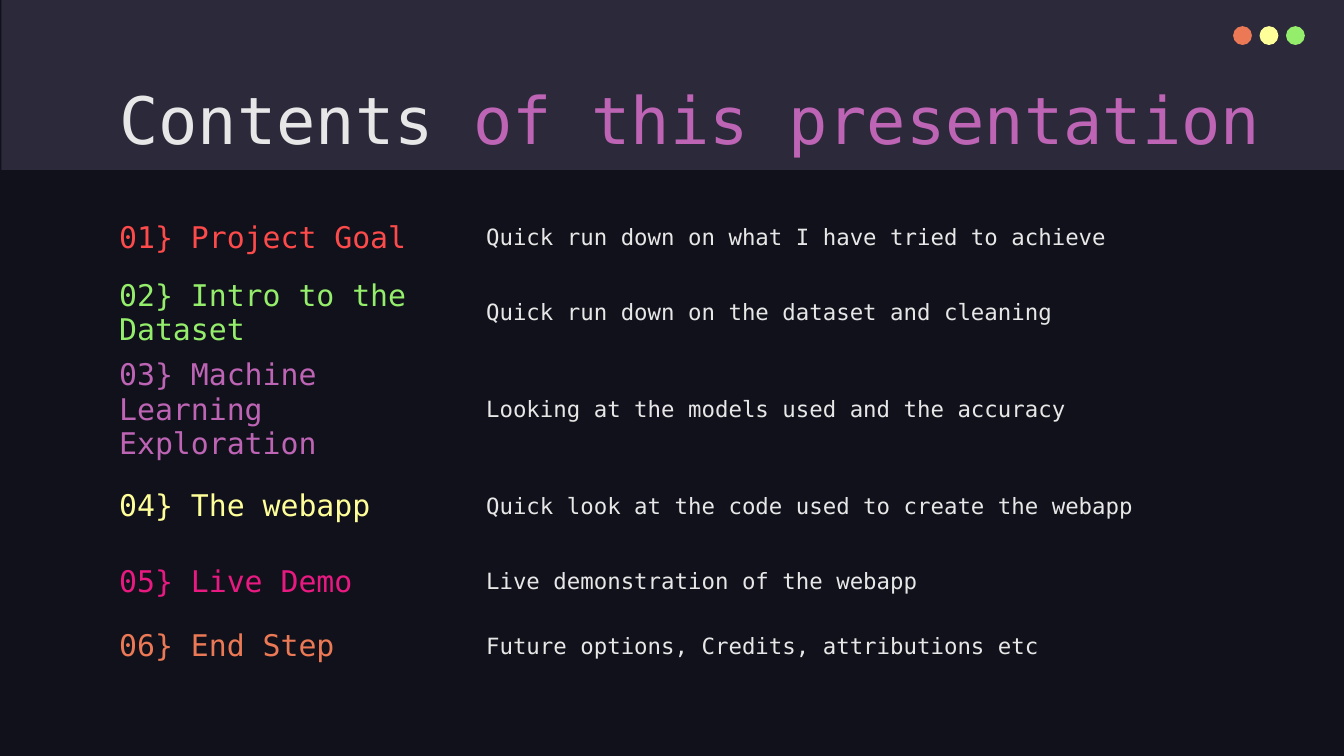
"""Builds the contents slide: a header band, three window dots, a title and a table of sections."""
from dataclasses import dataclass
from typing import NamedTuple

from pptx import Presentation
from pptx import util as u
from pptx.dml.color import RGBColor
from pptx.enum import shapes, text

COLS, ROWS = 100, 56.25
CELL = u.Inches(0.1)
NO_STYLE = "{2D5ABB26-0587-4C30-8999-92F81FD0307C}"


@dataclass(frozen=True)
class Theme:
    font: str = "DejaVu Sans Mono"
    back: str = "10111A"
    band: str = "2C293A"
    light: str = "E7E7E7"
    red: str = "FD4A4A"
    green: str = "94EE6B"
    purple: str = "BD64B5"
    yellow: str = "FFFF99"
    pink: str = "E81A81"
    orange: str = "EC7955"
    title: int = 35
    heading: int = 16
    body: int = 12


class Box(NamedTuple):
    left: float
    top: float
    width: float
    height: float


class Section(NamedTuple):
    heading: str
    detail: str
    color: str
    height: float


T = Theme()
BAND = Box(0.1, 0, COLS, 12.65)
TITLE = Box(7.87, 4.9, 88.2, 6.3)
TABLE = Box(7.87, 15.3, 84.3, 35.1)
TABLE_COLS = (27.3, 57)
DOT = Box(91.75, 1.95, 1.4, 1.4)
DOT_STEP = 1.97
DOT_COLORS = (T.orange, T.yellow, T.green)
SECTIONS = (
    Section("Project Goal", "Quick run down on what I have tried to achieve", T.red, 4.8),
    Section("Intro to the Dataset", "Quick run down on the dataset and cleaning", T.green, 6.4),
    Section("Machine Learning Exploration", "Looking at the models used and the accuracy", T.purple, 6.4),
    Section("The webapp", "Quick look at the code used to create the webapp", T.yellow, 6.4),
    Section("Live Demo", "Live demonstration of the webapp", T.pink, 4.8),
    Section("End Step", "Future options, Credits, attributions etc", T.orange, 4.8),
)


def grid(*units: float) -> list[int]:
    return [round(n * CELL) for n in units]


def apply(target, values: dict) -> None:
    for name, value in values.items():
        setattr(target, name, value)


def add_run(p, words: str, size: int, color: str) -> None:
    r = p.add_run()
    r.text = words
    apply(r.font, {"name": T.font, "size": u.Pt(size)})
    r.font.color.rgb = RGBColor.from_string(color)


def add_plain(s, kind: shapes.MSO_SHAPE, box: Box, color: str) -> None:
    sp = s.shapes.add_shape(kind, *grid(*box))
    sp.shadow.inherit = False
    sp.fill.solid()
    sp.fill.fore_color.rgb = RGBColor.from_string(color)
    sp.line.fill.background()


def add_title(s, box: Box) -> None:
    tf = s.shapes.add_textbox(*grid(*box)).text_frame
    apply(tf, {"word_wrap": True, "margin_left": CELL, "margin_right": CELL,
               "margin_top": CELL, "margin_bottom": CELL,
               "vertical_anchor": text.MSO_ANCHOR.TOP})
    add_run(tf.paragraphs[0], "Contents ", T.title, T.light)
    add_run(tf.paragraphs[0], "of this presentation", T.title, T.purple)


def fill_cell(cell, words: str, size: int, color: str) -> None:
    cell.fill.background()
    apply(cell, {"margin_left": CELL, "margin_right": CELL, "margin_top": 0,
                 "margin_bottom": 0, "vertical_anchor": text.MSO_ANCHOR.MIDDLE})
    add_run(cell.text_frame.paragraphs[0], words, size, color)


def add_contents(s, box: Box) -> None:
    frame = s.shapes.add_table(len(SECTIONS), len(TABLE_COLS), *grid(*box))
    table = frame.table
    apply(table, {"first_row": False, "horz_banding": False})
    table._tbl.tblPr[0].text = NO_STYLE
    for column, width in zip(table.columns, grid(*TABLE_COLS)):
        column.width = width
    for i, section in enumerate(SECTIONS):
        table.rows[i].height = grid(section.height)[0]
        fill_cell(table.cell(i, 0), f"{i + 1:02}}} {section.heading}", T.heading, section.color)
        fill_cell(table.cell(i, 1), section.detail, T.body, T.light)
    frame.height = grid(box.height)[0]


def main() -> None:
    prs = Presentation()
    prs.slide_width, prs.slide_height = grid(COLS, ROWS)
    s = prs.slides.add_slide(prs.slide_layouts[6])
    s.background.fill.solid()
    s.background.fill.fore_color.rgb = RGBColor.from_string(T.back)
    add_plain(s, shapes.MSO_SHAPE.RECTANGLE, BAND, T.band)
    for i, color in enumerate(DOT_COLORS):
        add_plain(s, shapes.MSO_SHAPE.OVAL, DOT._replace(left=DOT.left + i * DOT_STEP), color)
    add_title(s, TITLE)
    add_contents(s, TABLE)
    prs.save("out.pptx")


if __name__ == "__main__":
    main()
